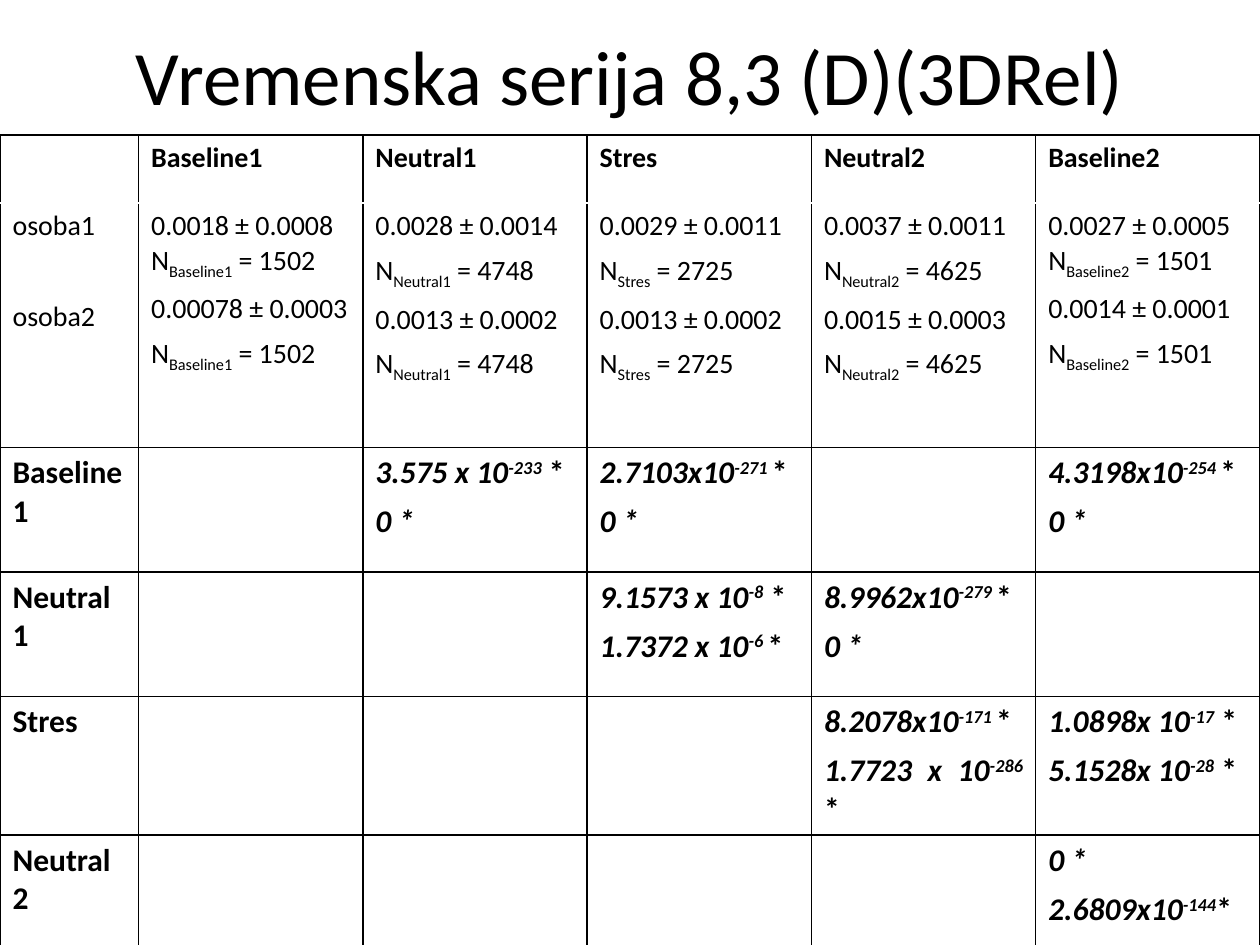
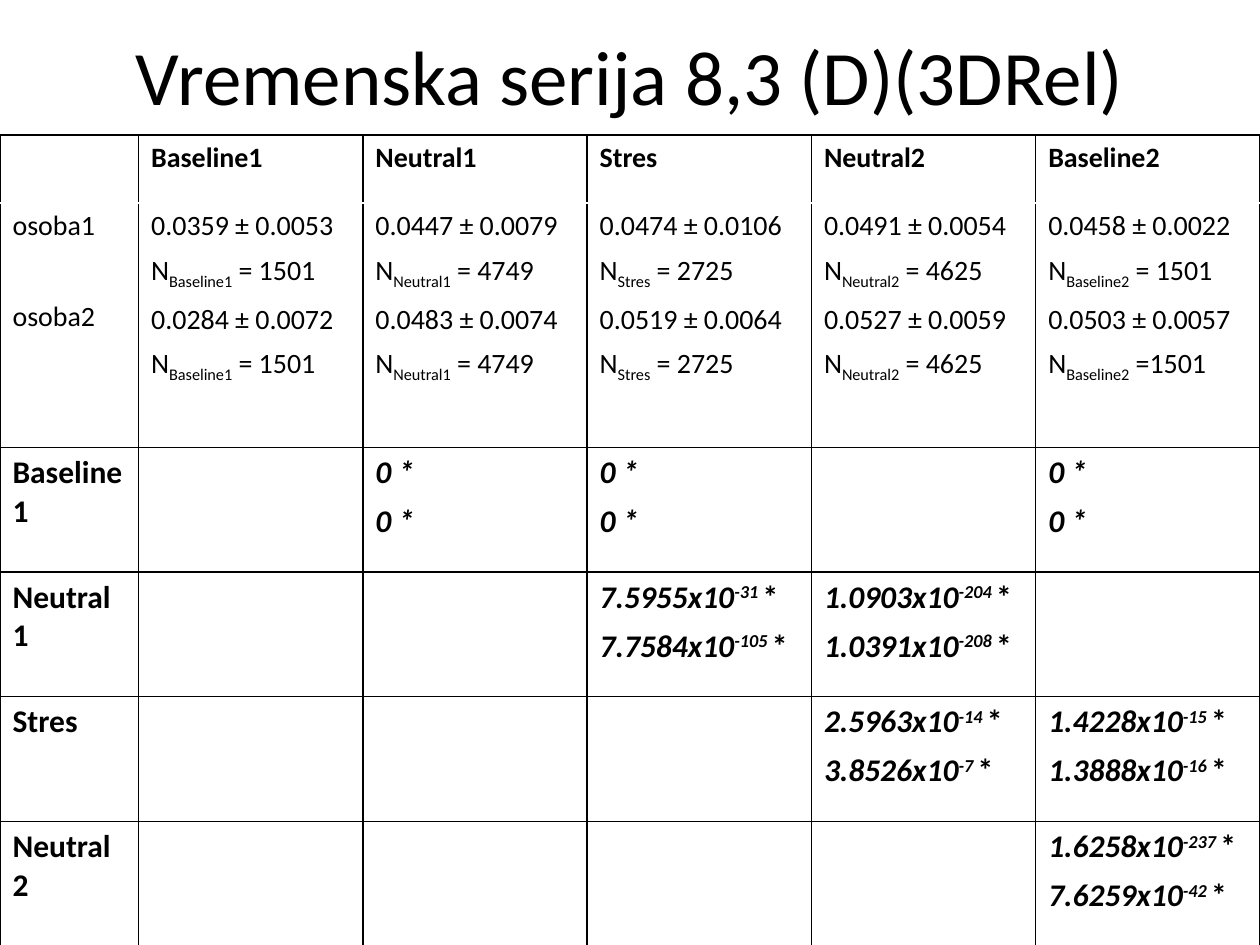
from dataclasses import dataclass

from lxml import etree
from pptx import Presentation
from pptx.dml.color import RGBColor
from pptx.enum import text
from pptx.oxml import ns
from pptx.util import Inches, Pt


@dataclass(frozen=True)
class Theme:
    font: str = "Calibri"
    ink: str = "000000"
    hidden_rule: str = "FFFFFF"
    title_size: int = 44
    summary_size: int = 16
    result_size: int = 18
    paragraph_gap: int = 6
    person_gap: int = 32
    rule_width: int = 1
    subscript: int = -25000
    superscript: int = 30000


theme = Theme()
JUSTIFY, LEFT = text.PP_ALIGN.JUSTIFY, text.PP_ALIGN.LEFT

# Content: text between bars is lowered in the summary and raised in the results
TITLE = "Vremenska serija 8,3 (D)(3DRel)"
phases = ["Baseline1", "Neutral1", "Stres", "Neutral2", "Baseline2"]
series = [
    {
        "summary": [
            ["0.0018 ± 0.0008 N|Baseline1| = 1502", "0.00078 ± 0.0003", "N|Baseline1| = 1502"],
            ["0.0028 ± 0.0014", "N|Neutral1| = 4748", "0.0013 ± 0.0002", "N|Neutral1| = 4748"],
            ["0.0029 ± 0.0011", "N|Stres| = 2725", "0.0013 ± 0.0002", "N|Stres| = 2725"],
            ["0.0037 ± 0.0011", "N|Neutral2| = 4625", "0.0015 ± 0.0003", "N|Neutral2| = 4625"],
            ["0.0027 ± 0.0005 N|Baseline2| = 1501", "0.0014 ± 0.0001", "N|Baseline2| = 1501"],
        ],
        "results": {
            ("Baseline1", "Neutral1"): ["3.575 x 10|-233| *", "0 * "],
            ("Baseline1", "Stres"): ["2.7103x10|-271 |*", "0 *"],
            ("Baseline1", "Baseline2"): ["4.3198x10|-254 |*", "0 * "],
            ("Neutral1", "Stres"): ["9.1573 x 10|-8| *", "1.7372 x 10|-6 |*"],
            ("Neutral1", "Neutral2"): ["8.9962x10|-279 |*", "0 *"],
            ("Stres", "Neutral2"): ["8.2078x10|-171 |*", "1.7723 x 10|-286| *"],
            ("Stres", "Baseline2"): ["1.0898x 10|-17| *", "5.1528x 10|-28| *"],
            ("Neutral2", "Baseline2"): ["0 * ", "2.6809x10|-144|*"],
        },
    },
    {
        "summary": [
            ["0.0359 ± 0.0053", "N|Baseline1| = 1501", "0.0284 ± 0.0072", "N|Baseline1| = 1501"],
            ["0.0447 ± 0.0079", "N|Neutral1| = 4749", "0.0483 ± 0.0074", "N|Neutral1| = 4749"],
            ["0.0474 ± 0.0106", "N|Stres| = 2725", "0.0519 ± 0.0064", "N|Stres| = 2725"],
            ["0.0491 ± 0.0054", "N|Neutral2| = 4625", "0.0527 ± 0.0059", "N|Neutral2| = 4625"],
            ["0.0458 ± 0.0022", "N|Baseline2| = 1501", "0.0503 ± 0.0057", "N|Baseline2| =1501"],
        ],
        "results": {
            ("Baseline1", "Neutral1"): ["0 *", "0 * "],
            ("Baseline1", "Stres"): ["0 *", "0 *"],
            ("Baseline1", "Baseline2"): ["0 *", "0 *"],
            ("Neutral1", "Stres"): ["7.5955x10|-31 |*", "7.7584x10|-105 |*"],
            ("Neutral1", "Neutral2"): ["1.0903x10|-204 |* ", "1.0391x10|-208 |*"],
            ("Stres", "Neutral2"): ["2.5963x10|-14 |*", "3.8526x10|-7 |*"],
            ("Stres", "Baseline2"): ["1.4228x10|-15 |*", "1.3888x10|-16 |*"],
            ("Neutral2", "Baseline2"): ["1.6258x10|-237 |*", "7.6259x10|-42 |*"],
        },
    },
]

# Text formats of the table parts
header_format = {"size": Pt(theme.summary_size), "bold": True, "italic": False}
summary_format = {"size": Pt(theme.summary_size), "bold": False, "italic": False}
label_format = {"size": Pt(theme.result_size), "bold": True, "italic": False}
result_format = {"size": Pt(theme.result_size), "bold": True, "italic": True}

# Table grid
label_width, phase_width = 1.1, 1.78
row_heights = [0.54, 1.94] + [0.99] * 4


def write_cell(cell, lines, font_format, shift=0, align=JUSTIFY, gap=theme.paragraph_gap):
    for number, line in enumerate(lines):
        paragraph = cell.text_frame.paragraphs[0] if number == 0 else cell.text_frame.add_paragraph()
        paragraph.alignment = align
        paragraph.space_before = Pt(gap if number else theme.paragraph_gap)
        for position, piece in enumerate(line.split("|")):
            run = paragraph.add_run()
            run.text = piece
            run.font.name = theme.font
            run.font.color.rgb = RGBColor.from_string(theme.ink)
            for attribute, value in font_format.items():
                setattr(run.font, attribute, value)
            if position == 1:
                run._r.get_or_add_rPr().set("baseline", str(shift))
            elif position == 2:
                run.font.italic = False


def rule_cell(cell, row):
    properties = cell._tc.get_or_add_tcPr()
    for side in "LRTB":
        hidden = (row, side) in [(0, "B"), (1, "T")]
        line = etree.SubElement(properties, ns.qn(f"a:ln{side}"), w=str(Pt(theme.rule_width)))
        fill = etree.SubElement(line, ns.qn("a:solidFill"))
        etree.SubElement(fill, ns.qn("a:srgbClr"), val=theme.hidden_rule if hidden else theme.ink)
    cell.fill.background()


deck = Presentation()
deck.slide_width, deck.slide_height = Inches(10), Inches(7.5)

for measures in series:
    slide = deck.slides.add_slide(deck.slide_layouts[5])

    # Title
    title = slide.shapes.title
    title.left, title.top, title.width, title.height = (Inches(n) for n in (0.5, -0.03, 9, 1.25))
    title.text_frame.text = TITLE
    title.text_frame.vertical_anchor = text.MSO_ANCHOR.MIDDLE
    heading = title.text_frame.paragraphs[0]
    heading.alignment = text.PP_ALIGN.CENTER
    heading.font.name = theme.font
    heading.font.size = Pt(theme.title_size)
    heading.font.color.rgb = RGBColor.from_string(theme.ink)

    # Empty ruled table
    comparison = slide.shapes.add_table(
        len(row_heights), len(phases) + 1,
        Inches(0), Inches(1.07), Inches(10), Inches(sum(row_heights)),
    ).table
    comparison.first_row = comparison.horz_banding = False
    for column, grid_column in enumerate(comparison.columns):
        grid_column.width = Inches(phase_width if column else label_width)
    for row, height in enumerate(row_heights):
        comparison.rows[row].height = Inches(height)
        for column in range(len(phases) + 1):
            rule_cell(comparison.cell(row, column), row)

    # Phase names and the summary of both persons
    write_cell(comparison.cell(1, 0), ["osoba1", "osoba2 "], summary_format, gap=theme.person_gap)
    for column, (phase, lines) in enumerate(zip(phases, measures["summary"]), start=1):
        write_cell(comparison.cell(0, column), [phase], header_format)
        write_cell(comparison.cell(1, column), lines, summary_format, theme.subscript,
                   LEFT if len(lines) == 3 else JUSTIFY)

    # Pairwise results
    for row, phase in enumerate(phases[:-1], start=2):
        label = comparison.cell(row, 0)
        label.margin_right = Inches(0.12)
        write_cell(label, [phase], label_format)
    for (first, second), lines in measures["results"].items():
        result = comparison.cell(phases.index(first) + 2, phases.index(second) + 1)
        write_cell(result, lines, result_format, theme.superscript)

deck.save("out.pptx")
